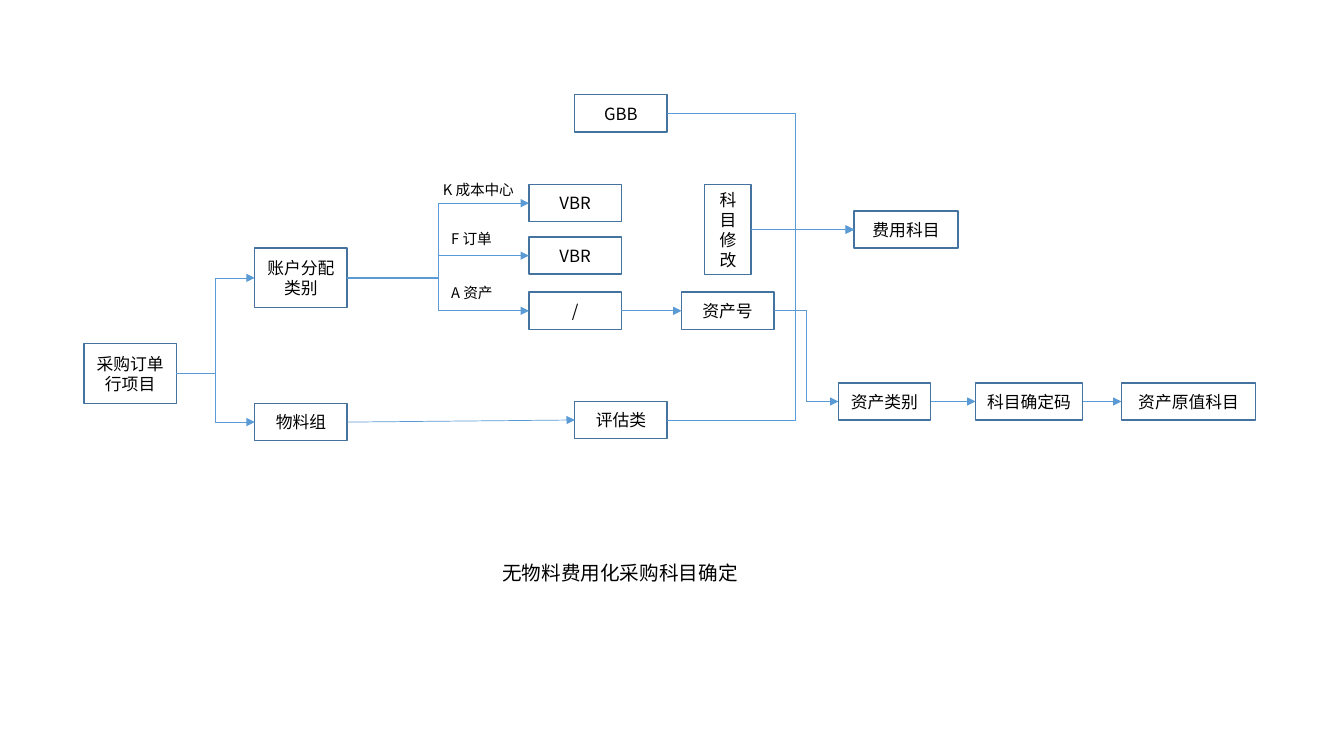
from dataclasses import dataclass

from lxml.etree import SubElement
from pptx import Presentation
from pptx.dml.color import RGBColor
from pptx.enum.shapes import MSO_CONNECTOR as LinkKind, MSO_SHAPE
from pptx.enum.text import MSO_ANCHOR, MSO_AUTO_SIZE as AutoSize, PP_ALIGN
from pptx.oxml.ns import qn
from pptx.util import Pt


@dataclass(frozen=True)
class Theme:
    font: str = "Noto Sans CJK SC"
    ink: RGBColor = RGBColor(0x00, 0x00, 0x00)
    paper: RGBColor = RGBColor(0xFF, 0xFF, 0xFF)
    border: RGBColor = RGBColor(0x43, 0x73, 0x9E)
    arrow: RGBColor = RGBColor(0x5B, 0x9B, 0xD5)
    box_size: float = 12
    label_size: float = 10.5
    caption_size: float = 14


THEME = Theme()
BOX_WIDTH, BOX_HEIGHT = 66, 26.6
TALL_HEIGHT = 42.6
LEFT_SITE, RIGHT_SITE = 1, 3

# Centre heights of the rows
GBB_ROW, COST_ROW, EXPENSE_ROW, ORDER_ROW = 81, 145.2, 164, 182.6
ACCOUNT_ROW, ASSET_ROW, ITEM_ROW = 198.5, 222, 266.8
CLASS_ROW, VALUATION_ROW, MATERIAL_ROW = 286.8, 300, 301.5


def write(frame, text, size, align):
    paragraph = frame.paragraphs[0]
    paragraph.text = text
    paragraph.alignment = align
    font = paragraph.font
    font.name, font.size = THEME.font, Pt(size)
    font.color.rgb = THEME.ink
    SubElement(font._element, qn("a:ea"), typeface=THEME.font)


def add_box(slide, text, left, middle, width=BOX_WIDTH, height=BOX_HEIGHT):
    box = slide.shapes.add_shape(
        MSO_SHAPE.RECTANGLE,
        Pt(left), Pt(middle - height / 2), Pt(width), Pt(height))
    box.shadow.inherit = False
    box.fill.solid()
    box.fill.fore_color.rgb = THEME.paper
    box.line.color.rgb = THEME.border
    box.line.width = Pt(1)
    box.text_frame.word_wrap = True
    box.text_frame.vertical_anchor = MSO_ANCHOR.MIDDLE
    write(box.text_frame, text, THEME.box_size, PP_ALIGN.CENTER)
    return box


def add_label(slide, text, left, top, width, height, size):
    label = slide.shapes.add_textbox(Pt(left), Pt(top), Pt(width), Pt(height))
    label.text_frame.word_wrap = False
    label.text_frame.auto_size = AutoSize.SHAPE_TO_FIT_TEXT
    write(label.text_frame, text, size, PP_ALIGN.LEFT)


def add_arrow(slide, source, target, kind=LinkKind.STRAIGHT, bend=None):
    """Join two boxes; bend is the share of the way at which an elbow turns."""
    arrow = slide.shapes.add_connector(kind, 0, 0, 0, 0)
    arrow.begin_connect(source, RIGHT_SITE)
    arrow.end_connect(target, LEFT_SITE)
    arrow.line.color.rgb = THEME.arrow
    arrow.line.width = Pt(0.5)
    SubElement(arrow.line._get_or_add_ln(), qn("a:tailEnd"), type="triangle")
    properties = arrow._element.spPr
    SubElement(properties, qn("a:effectLst"))
    if bend is not None:
        guides = properties.find(qn("a:prstGeom")).get_or_add_avLst()
        SubElement(guides, qn("a:gd"), name="adj1",
                   fmla=f"val {round(bend * 100000)}")


def main():
    deck = Presentation()
    deck.slide_width, deck.slide_height = Pt(960), Pt(540)
    slide = deck.slides.add_slide(deck.slide_layouts[6])

    # Purchase order item and its two branches
    item = add_box(slide, "采购订单行项目", 60, ITEM_ROW, height=TALL_HEIGHT)
    account = add_box(slide, "账户分配类别", 182, ACCOUNT_ROW, height=TALL_HEIGHT)
    material = add_box(slide, "物料组", 182, MATERIAL_ROW)

    # Account assignment categories
    cost = add_box(slide, "VBR", 377.8, COST_ROW)
    order = add_box(slide, "VBR", 377.8, ORDER_ROW)
    asset = add_box(slide, "/", 377.8, ASSET_ROW)

    # Expense account
    valuation = add_box(slide, "评估类", 410.6, VALUATION_ROW)
    gbb = add_box(slide, "GBB", 410.6, GBB_ROW)
    modifier = add_box(slide, "科目修改", 503.4, EXPENSE_ROW, 33.2, 64.2)
    expense = add_box(slide, "费用科目", 610, EXPENSE_ROW, 74.4)

    # Asset account
    number = add_box(slide, "资产号", 486.8, ASSET_ROW)
    asset_class = add_box(slide, "资产类别", 598.8, CLASS_ROW)
    code = add_box(slide, "科目确定码", 696.8, CLASS_ROW, 76.6)
    asset_account = add_box(slide, "资产原值科目", 801, CLASS_ROW, 96)

    # Arrows
    for source, target, bend in (
            (item, account, 0.5), (item, material, 0.5),
            (account, cost, 0.5), (account, order, 0.5), (account, asset, 0.5),
            (valuation, expense, 0.685), (gbb, expense, 0.685),
            (number, asset_class, 0.5)):
        add_arrow(slide, source, target, LinkKind.ELBOW, bend)
    for source, target in (
            (material, valuation), (modifier, expense), (asset, number),
            (asset_class, code), (code, asset_account)):
        add_arrow(slide, source, target)

    # Category labels and caption, wide enough for one line each
    for text, left, top, width in (
            ("K 成本中心", 309.2, 125.6, 70),
            ("F 订单", 315.2, 160.4, 50),
            ("A 资产", 315.2, 199.2, 50)):
        add_label(slide, text, left, top, width, 20, THEME.label_size)
    add_label(slide, "无物料费用化采购科目确定", 351.6, 397.4, 186, 24.4,
              THEME.caption_size)

    deck.save("out.pptx")


if __name__ == "__main__":
    main()
